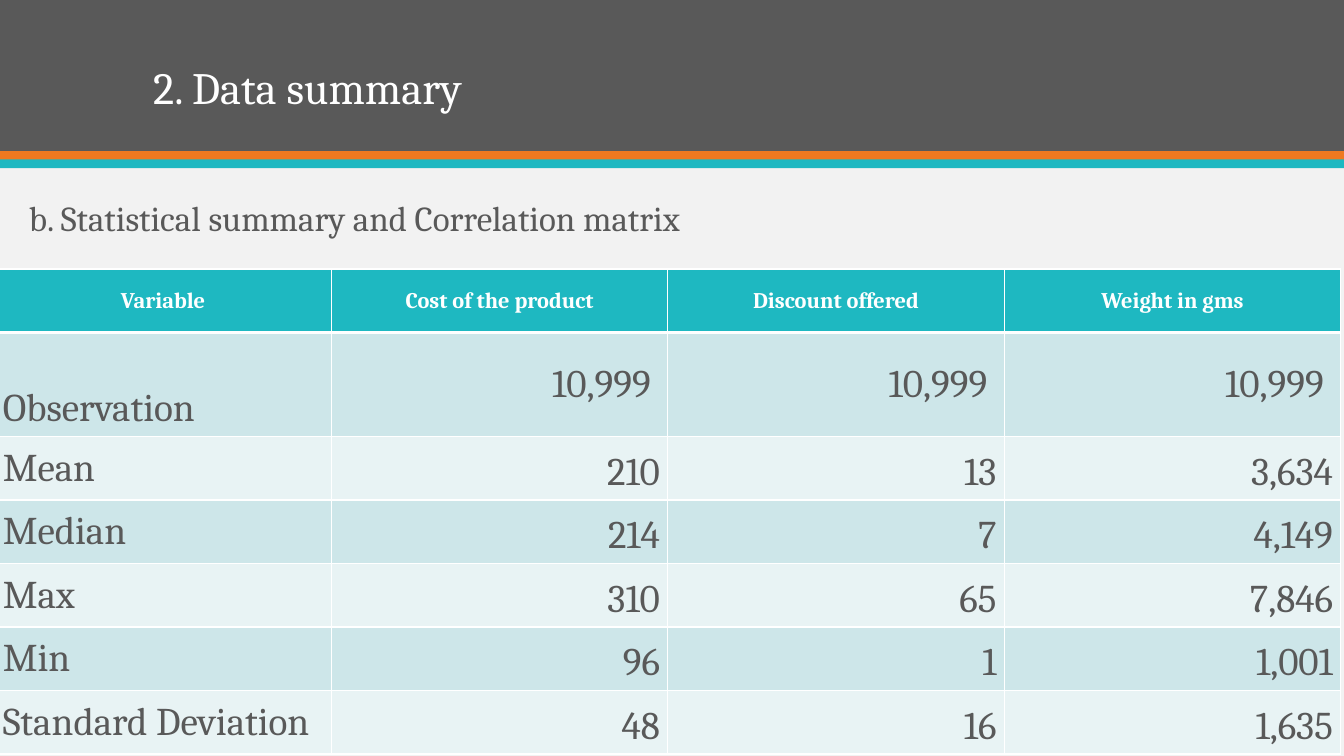
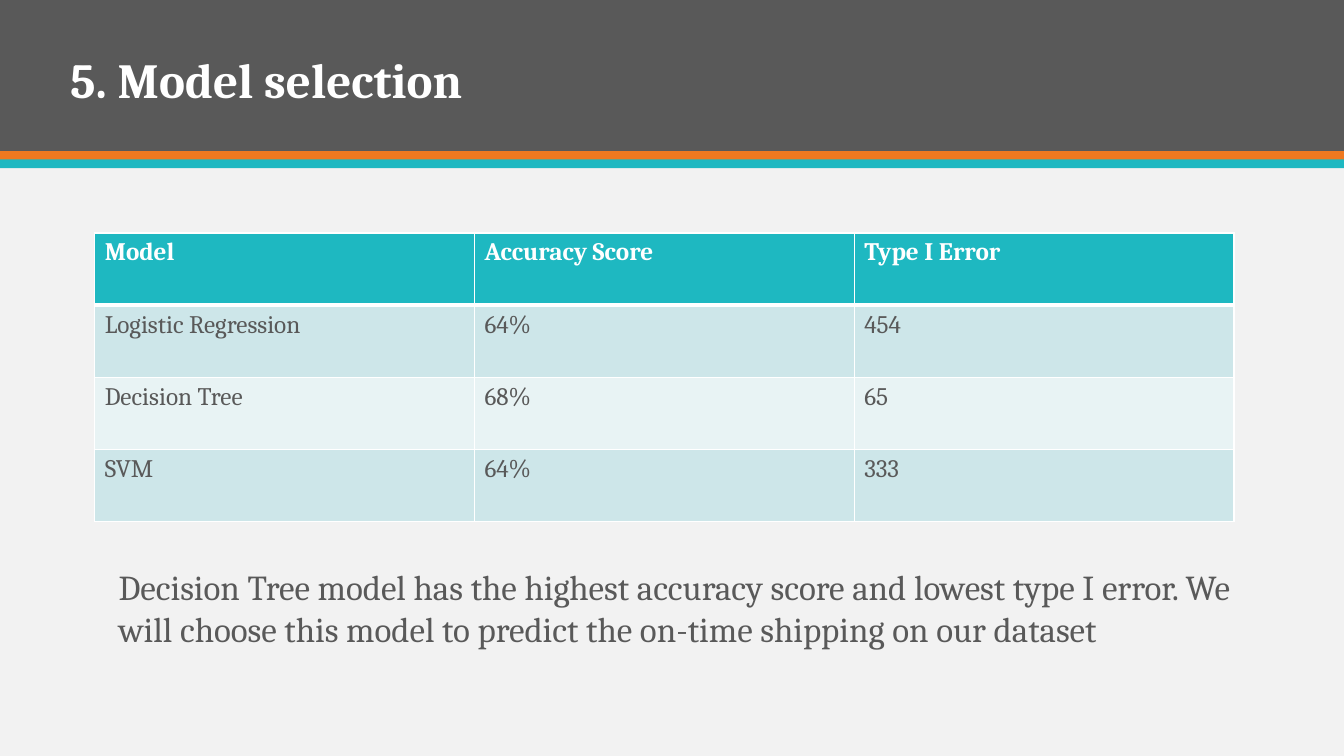
import dataclasses
import typing

import pptx
import pptx.dml.color
import pptx.enum.shapes
import pptx.enum.text
import pptx.oxml
import pptx.oxml.ns
import pptx.util

Cm = pptx.util.Cm
Pt = pptx.util.Pt
RGBColor = pptx.dml.color.RGBColor
Align = pptx.enum.text.PP_ALIGN
Anchor = pptx.enum.text.MSO_ANCHOR

PAPER = RGBColor(0xF2, 0xF2, 0xF2)
GREY = RGBColor(0x59, 0x59, 0x59)
ORANGE = RGBColor(0xEF, 0x79, 0x20)
TEAL = RGBColor(0x1E, 0xB8, 0xC1)
WHITE = RGBColor(0xFF, 0xFF, 0xFF)
ROW_FILLS = (RGBColor(0xCD, 0xE6, 0xE9), RGBColor(0xE8, 0xF3, 0xF4))

FONT = "Cambria"
PAGE_WIDTH, PAGE_HEIGHT = Cm(33.87), Cm(19.05)
THIN, THICK = Pt(1), Pt(3)


@dataclasses.dataclass(frozen=True)
class Band:
    top: float
    height: float
    color: RGBColor


@dataclasses.dataclass(frozen=True)
class TextBlock:
    text: str
    left: float
    top: float
    width: float
    height: float
    size: float
    color: RGBColor = GREY
    bold: bool = False
    anchor: Anchor = Anchor.TOP
    line_spacing: float = 1.0


@dataclasses.dataclass(frozen=True)
class CellStyle:
    size: float
    align: Align = Align.LEFT
    anchor: Anchor = Anchor.TOP
    side_margin: float = 0.25
    right_margin: float = 0.25


@dataclasses.dataclass(frozen=True)
class Grid:
    left: float
    top: float
    column_width: float
    row_heights: tuple[float, ...]
    rows: tuple[tuple[str, ...], ...]
    style_at: typing.Callable[[int, int], CellStyle]


BANDS = (
    Band(0, 3.81, GREY),
    Band(3.81, 0.22, ORANGE),
    Band(4.02, 0.22, TEAL),
)

SUMMARY_ROWS = (
    ("Variable", "Cost of the product", "Discount offered", "Weight in gms"),
    ("Observation", "10,999", "10,999", "10,999"),
    ("Mean", "210", "13", "3,634"),
    ("Median", "214", "7", "4,149"),
    ("Max", "310", "65", "7,846"),
    ("Min", "96", "1", "1,001"),
    ("Standard Deviation", "48", "16", "1,635"),
)

MODEL_ROWS = (
    ("Model", "Accuracy Score", "Type I Error"),
    ("Logistic Regression", "64%", "454"),
    ("Decision Tree", "68%", "65"),
    ("SVM", "64%", "333"),
)


def summary_style(row: int, column: int) -> CellStyle:
    """Centre the headings, keep names left and set numbers right."""
    margin = 0.2
    if row == 0:
        return CellStyle(16, Align.CENTER, Anchor.MIDDLE, margin, margin)
    if column == 0:
        if row == 1:
            return CellStyle(28, Align.JUSTIFY, Anchor.BOTTOM, margin, margin)
        return CellStyle(28, Align.LEFT, Anchor.MIDDLE, margin, margin)
    if row == 1:
        return CellStyle(28, Align.RIGHT, Anchor.MIDDLE, margin, 0.43)
    return CellStyle(28, Align.RIGHT, Anchor.BOTTOM, margin, margin)


def model_style(row: int, column: int) -> CellStyle:
    return CellStyle(18)


def apply(target: typing.Any, values: dict[str, typing.Any]) -> None:
    for name, value in values.items():
        setattr(target, name, value)


def write(para: typing.Any, text: str, size: float, color: RGBColor, bold: bool) -> None:
    span = para.add_run()
    span.text = text
    apply(span.font, {"name": FONT, "size": Pt(size), "bold": bold})
    span.font.color.rgb = color


def add_band(page: typing.Any, band: Band) -> None:
    box = page.shapes.add_shape(
        pptx.enum.shapes.MSO_SHAPE.RECTANGLE,
        0, Cm(band.top), PAGE_WIDTH, Cm(band.height),
    )
    box.shadow.inherit = False
    box.fill.solid()
    box.fill.fore_color.rgb = band.color
    box.line.fill.background()


def add_text(page: typing.Any, block: TextBlock) -> None:
    box = page.shapes.add_textbox(
        Cm(block.left), Cm(block.top), Cm(block.width), Cm(block.height)
    )
    apply(box.text_frame, {"word_wrap": True, "vertical_anchor": block.anchor})
    para = box.text_frame.paragraphs[0]
    para.line_spacing = block.line_spacing
    write(para, block.text, block.size, block.color, block.bold)


def add_title(page: typing.Any, text: str, left: float, top: float,
              height: float, size: float, bold: bool = False) -> None:
    add_text(page, TextBlock(text, left, top, 26.67, height, size, WHITE, bold,
                             Anchor.BOTTOM, 0.9))


def set_borders(cell: typing.Any, row: int) -> None:
    """Draw white rules, with a thick one under the heading row."""
    widths = {
        "lnL": THIN,
        "lnR": THIN,
        "lnT": THICK if row == 1 else THIN,
        "lnB": THICK if row == 0 else THIN,
    }
    properties = cell._tc.get_or_add_tcPr()
    for position, (tag, width) in enumerate(widths.items()):
        rule = pptx.oxml.parse_xml(
            f'<a:{tag} {pptx.oxml.ns.nsdecls("a")} w="{int(width)}">'
            f'<a:solidFill><a:srgbClr val="{WHITE}"/></a:solidFill></a:{tag}>'
        )
        properties.insert(position, rule)


def fill_cell(cell: typing.Any, text: str, row: int, style: CellStyle) -> None:
    heading = row == 0
    apply(cell, {
        "vertical_anchor": style.anchor,
        "margin_left": Cm(style.side_margin),
        "margin_right": Cm(style.right_margin),
        "margin_top": Cm(0.13),
        "margin_bottom": Cm(0.13),
    })
    cell.fill.solid()
    cell.fill.fore_color.rgb = TEAL if heading else ROW_FILLS[(row - 1) % 2]
    set_borders(cell, row)
    para = cell.text_frame.paragraphs[0]
    para.alignment = style.align
    write(para, text, style.size, WHITE if heading else GREY, heading)


def add_grid(page: typing.Any, grid: Grid) -> None:
    column_count = len(grid.rows[0])
    table = page.shapes.add_table(
        len(grid.rows), column_count, Cm(grid.left), Cm(grid.top),
        Cm(grid.column_width * column_count), Cm(sum(grid.row_heights)),
    ).table
    for column in table.columns:
        column.width = Cm(grid.column_width)
    for row, (height, texts) in enumerate(zip(grid.row_heights, grid.rows)):
        table.rows[row].height = Cm(height)
        for column, text in enumerate(texts):
            fill_cell(table.cell(row, column), text, row, grid.style_at(row, column))


def add_page(deck: typing.Any) -> typing.Any:
    """Add a blank page with the shared background and bands."""
    page = deck.slides.add_slide(deck.slide_layouts[6])
    page.background.fill.solid()
    page.background.fill.fore_color.rgb = PAPER
    for band in BANDS:
        add_band(page, band)
    return page


def add_summary_page(deck: typing.Any) -> None:
    page = add_page(deck)
    add_title(page, "2. Data summary", 3.61, 0.84, 2.16, 32)
    add_text(page, TextBlock("b. Statistical summary and Correlation matrix",
                             0.48, 4.95, 29.79, 12.19, 25, line_spacing=0.9))
    heights = (1.6, 2.62) + (1.6,) * 5
    add_grid(page, Grid(-0.13, 6.78, 8.48, heights, SUMMARY_ROWS, summary_style))


def add_model_page(deck: typing.Any) -> None:
    page = add_page(deck)
    add_title(page, "5. Model selection", 1.52, 0, 2.87, 35, bold=True)
    add_grid(page, Grid(2.39, 5.87, 9.57, (1.82,) * 4, MODEL_ROWS, model_style))
    add_text(page, TextBlock(
        "Decision Tree model has the highest accuracy score and lowest type I error. "
        "We will choose this model to predict the on-time shipping on our dataset",
        2.74, 14.12, 28.83, 3.45, 25,
    ))


def main() -> None:
    deck = pptx.Presentation()
    apply(deck, {"slide_width": PAGE_WIDTH, "slide_height": PAGE_HEIGHT})
    add_summary_page(deck)
    add_model_page(deck)
    deck.save("out.pptx")


if __name__ == "__main__":
    main()
